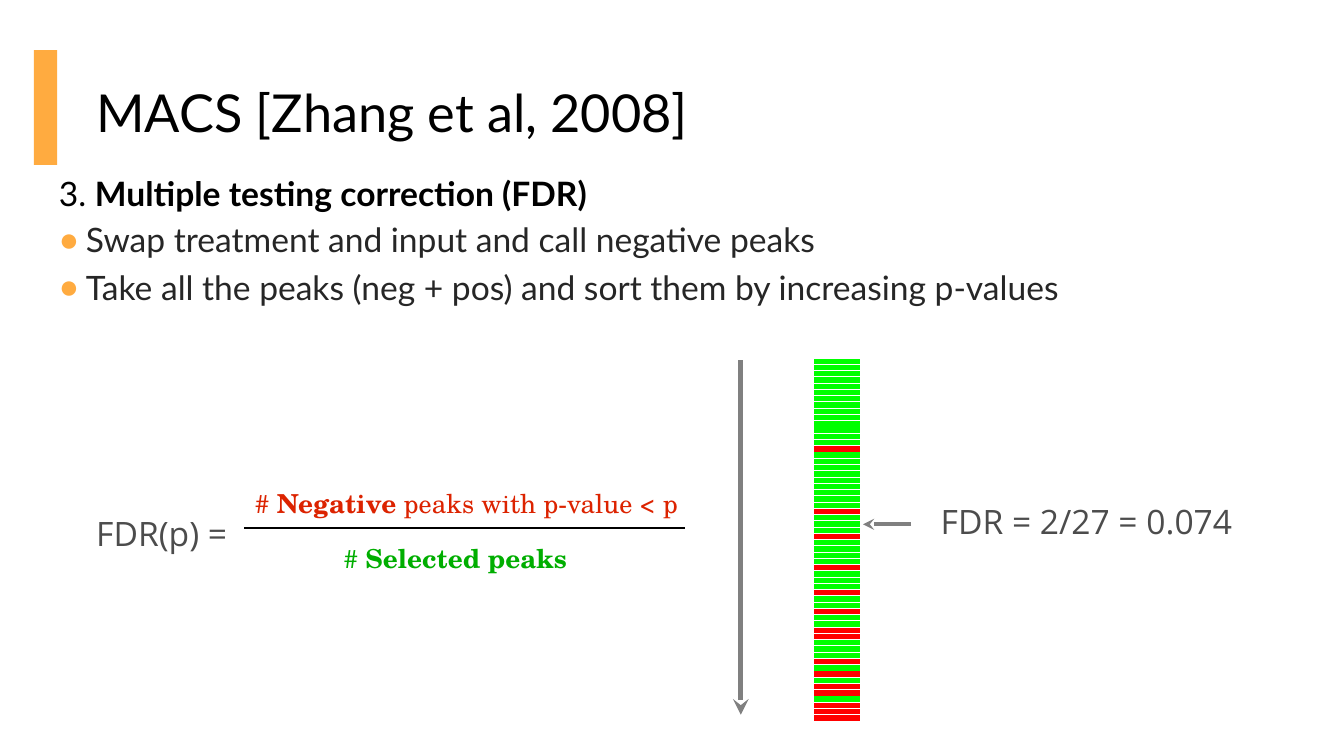
from lxml import etree
from pptx import Presentation
from pptx import util as u
from pptx.dml.color import RGBColor
from pptx.enum import shapes, text
from pptx.oxml import ns

ORANGE, BLACK, DARK, GRAY = "FFAB40", "000000", "262626", "4C4C4C"
ARROW, POSITIVE, NEGATIVE = "808080", "00FF00", "FF0000"
RED_TEXT, GREEN_TEXT = "DC2300", "00AE00"


def rgb(value):
    return RGBColor.from_string(value)


def child(parent, tag, **attrs):
    return etree.SubElement(parent, ns.qn(tag), attrs)


class Deck:
    heading_font, label_font, formula_font = "Lato", "Open Sans", "TeX Gyre Schola"

    def __init__(self, prs):
        self.s = prs.slides.add_slide(prs.slide_layouts[1])

    def place(self, sp, left, top, width, height):
        sp.left, sp.top = u.Cm(left), u.Cm(top)
        sp.width, sp.height = u.Cm(width), u.Cm(height)

    def add_runs(self, p, runs, size, color, font):
        """Fill a paragraph with (text, bold) runs in one style."""
        for content, bold in runs:
            r = p.add_run()
            r.text = content
            r.font.size, r.font.bold, r.font.name = u.Pt(size), bold, font
            r.font.color.rgb = rgb(color)

    def title(self, content, *box):
        sp = self.s.shapes.title
        self.place(sp, *box)
        tf = sp.text_frame
        tf.auto_size = text.MSO_AUTO_SIZE.NONE
        tf.vertical_anchor = text.MSO_ANCHOR.BOTTOM
        p = tf.paragraphs[0]
        p.alignment, p.line_spacing = text.PP_ALIGN.LEFT, 0.9
        self.add_runs(p, [(content, False)], 28, BLACK, self.heading_font)

    def body(self, lead, items, *box):
        sp = self.s.placeholders[1]
        self.place(sp, *box)
        tf = sp.text_frame
        tf.auto_size = text.MSO_AUTO_SIZE.NONE
        p = tf.paragraphs[0]
        p.line_spacing, p.space_before = 0.95, u.Pt(0)
        pPr = p._p.get_or_add_pPr()
        pPr.set("marL", "0")
        pPr.set("indent", "0")
        child(pPr, "a:buNone")
        self.add_runs(p, lead, 18, BLACK, self.heading_font)
        for content, gap in items:
            p = tf.add_paragraph()
            p.line_spacing, p.space_before = 0.9, u.Pt(gap)
            self.bullet(p)
            self.add_runs(p, [(content, False)], 18, DARK, self.heading_font)

    def bullet(self, p):
        pPr = p._p.get_or_add_pPr()
        pPr.set("marL", str(u.Cm(0.51)))
        pPr.set("indent", str(u.Cm(-0.58)))
        child(child(pPr, "a:buClr"), "a:srgbClr", val=ORANGE)
        child(pPr, "a:buChar", char="●")

    def label(self, runs, size, color, font, *box, align=text.PP_ALIGN.LEFT):
        sp = self.s.shapes.add_textbox(*map(u.Cm, box))
        tf = sp.text_frame
        tf.word_wrap = True
        p = tf.paragraphs[0]
        p.alignment = align
        self.add_runs(p, runs, size, color, font)

    def bar(self, color, *box):
        sp = self.s.shapes.add_shape(shapes.MSO_SHAPE.RECTANGLE, *map(u.Cm, box))
        sp.shadow.inherit = False
        sp.fill.solid()
        sp.fill.fore_color.rgb = rgb(color)
        sp.line.fill.background()

    def line(self, color, width, *ends, arrow=False):
        """Draw a line, with an arrowhead at its end if asked."""
        sp = self.s.shapes.add_connector(shapes.MSO_CONNECTOR.STRAIGHT, *map(u.Cm, ends))
        sp.line.color.rgb = rgb(color)
        sp.line.width = u.Pt(width)
        if arrow:
            child(sp.line._get_or_add_ln(), "a:tailEnd", type="stealth")
        child(sp._element.spPr, "a:effectLst")


def main():
    prs = Presentation()
    prs.slide_width, prs.slide_height = u.Cm(25.4), u.Cm(14.29)
    d = Deck(prs)

    # Heading and list
    d.bar(ORANGE, 0.64, 0.95, 0.44, 2.17)
    d.title("MACS [Zhang et al, 2008]", 1.57, 1.24, 23.67, 1.6)
    d.body([("3. ", False), ("Multiple testing correction (FDR)", True)],
           [("Swap treatment and input and call negative peaks", 5),
            ("Take all the peaks (neg + pos) and sort them by increasing p-values", 6)],
           0.86, 3.2, 23.67, 3.35)

    # FDR formula
    d.label([("FDR(p) =", False)], 18, GRAY, d.label_font, 1.57, 9.58, 3.28, 0.79)
    d.label([("# ", False), ("Negative", True), (" peaks with p-value < p", False)],
            14, RED_TEXT, d.formula_font, 4.57, 9.09, 8.76, 0.79)
    d.label([("# ", False), ("Selected peaks", True)], 14, GREEN_TEXT, d.formula_font,
            4.62, 10.13, 7.98, 0.79, align=text.PP_ALIGN.CENTER)
    d.line(BLACK, 1.42, 4.62, 9.98, 12.95, 9.98)

    # Peaks sorted by p-value: negative ones by rank, all others positive
    negative_ranks = {14, 24, 28, 33, 37, 40, 43, 44, 48, 50, 52, 53, 55, 56, 57}
    peaks, first, last = 58, 6.83, 13.57
    step = (last - first) / (peaks - 1)
    for rank in range(peaks):
        y = first + rank * step
        color = NEGATIVE if rank in negative_ranks else POSITIVE
        d.line(color, 2.83, 15.39, y, 16.26, y)

    # Sort direction and worked example
    d.line(ARROW, 2.83, 14, 6.81, 14, 13.51, arrow=True)
    d.line(ARROW, 2, 17.22, 9.91, 16.31, 9.91, arrow=True)
    d.label([("FDR = 2/27 = 0.074", False)], 18, GRAY, d.label_font, 17.53, 9.35, 6.22, 1.09)

    prs.save("out.pptx")


if __name__ == "__main__":
    main()
